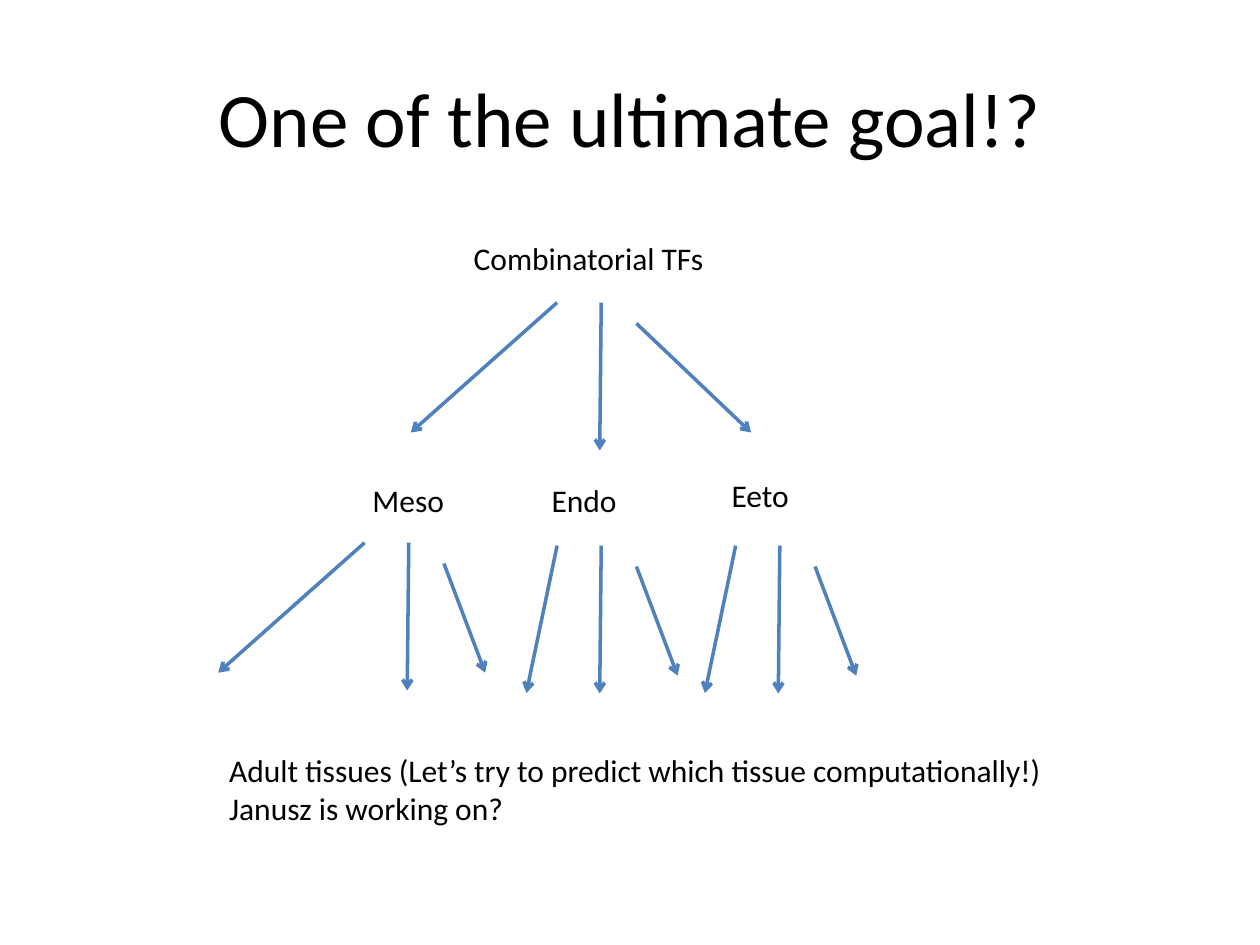
from lxml import etree
from pptx import Presentation
from pptx.dml.color import RGBColor
from pptx.enum.shapes import MSO_CONNECTOR
from pptx.enum.text import MSO_ANCHOR, MSO_AUTO_SIZE, PP_ALIGN
from pptx.oxml.ns import qn
from pptx.util import Cm, Pt

STRAIGHT = MSO_CONNECTOR.STRAIGHT
MIDDLE = MSO_ANCHOR.MIDDLE
FIT_SHAPE = MSO_AUTO_SIZE.SHAPE_TO_FIT_TEXT
LEFT, CENTER = PP_ALIGN.LEFT, PP_ALIGN.CENTER

FAN_STARTS = [(0, 0), (0.89, 0), (1.6, 0.42)]
MIDDLE_END = (0.86, 2.98)
WIDE_LEFT, NARROW_LEFT = (-2.95, 2.62), (-0.62, 2.97)
WIDE_RIGHT, NARROW_RIGHT = (3.91, 2.62), (2.43, 2.62)

FANS = [
    (11.23, 6.1, WIDE_LEFT, WIDE_RIGHT),
    (7.35, 10.94, WIDE_LEFT, NARROW_RIGHT),
    (11.23, 11, NARROW_LEFT, NARROW_RIGHT),
    (14.83, 11, NARROW_LEFT, NARROW_RIGHT),
]

LABELS = [
    ("Combinatorial TFs", 9.3, 4.7, 5.25, 1.02),
    ("Meso", 7.26, 9.58, 2.05, 1.02),
    ("Endo", 10.87, 9.58, 1.95, 1.02),
    ("Eeto", 14.5, 9.48, 1.8, 1.02),
    ("Adult tissues (Let’s try to predict which tissue computationally!)\n"
     "Janusz is working on?", 4.37, 15.02, 17, 1.78),
]


def color(value):
    return RGBColor.from_string(value)


class SlideBuilder:
    font = "Calibri"
    ink = "000000"
    accent = "4F81BD"
    title_size = 44
    label_size = 18
    line_width = 2

    def __init__(self, page):
        self.page = page

    def format_text(self, frame, size, alignment):
        for para in frame.paragraphs:
            para.alignment = alignment
            for span in para.runs:
                span.font.name = self.font
                span.font.size = Pt(size)
                span.font.color.rgb = color(self.ink)

    def title(self, text, left, top, width, height):
        box = self.page.shapes.title
        box.left, box.top, box.width, box.height = map(Cm, (left, top, width, height))
        frame = box.text_frame
        frame.text = text
        frame.vertical_anchor = MIDDLE
        self.format_text(frame, self.title_size, CENTER)

    def label(self, text, left, top, width, height):
        box = self.page.shapes.add_textbox(*map(Cm, (left, top, width, height)))
        frame = box.text_frame
        frame.text = text
        frame.word_wrap = False
        frame.auto_size = FIT_SHAPE
        self.format_text(frame, self.label_size, LEFT)

    def arrow(self, x1, y1, x2, y2):
        arrow = self.page.shapes.add_connector(STRAIGHT, *map(Cm, (x1, y1, x2, y2)))
        arrow.line.color.rgb = color(self.accent)
        arrow.line.width = Pt(self.line_width)
        etree.SubElement(arrow.line._get_or_add_ln(), qn("a:tailEnd"), type="arrow")
        etree.SubElement(arrow._element.spPr, qn("a:effectLst"))

    def fan(self, x, y, left_end, right_end):
        ends = [left_end, MIDDLE_END, right_end]
        for (start_x, start_y), (end_x, end_y) in zip(FAN_STARTS, ends):
            self.arrow(x + start_x, y + start_y, x + end_x, y + end_y)


def main():
    deck = Presentation()
    deck.slide_width, deck.slide_height = Cm(25.4), Cm(19.05)
    builder = SlideBuilder(deck.slides.add_slide(deck.slide_layouts[5]))
    builder.title("One of the ultimate goal!?", 1.27, 0.76, 22.86, 3.18)
    for label in LABELS:
        builder.label(*label)
    for fan in FANS:
        builder.fan(*fan)
    deck.save("out.pptx")


if __name__ == "__main__":
    main()
